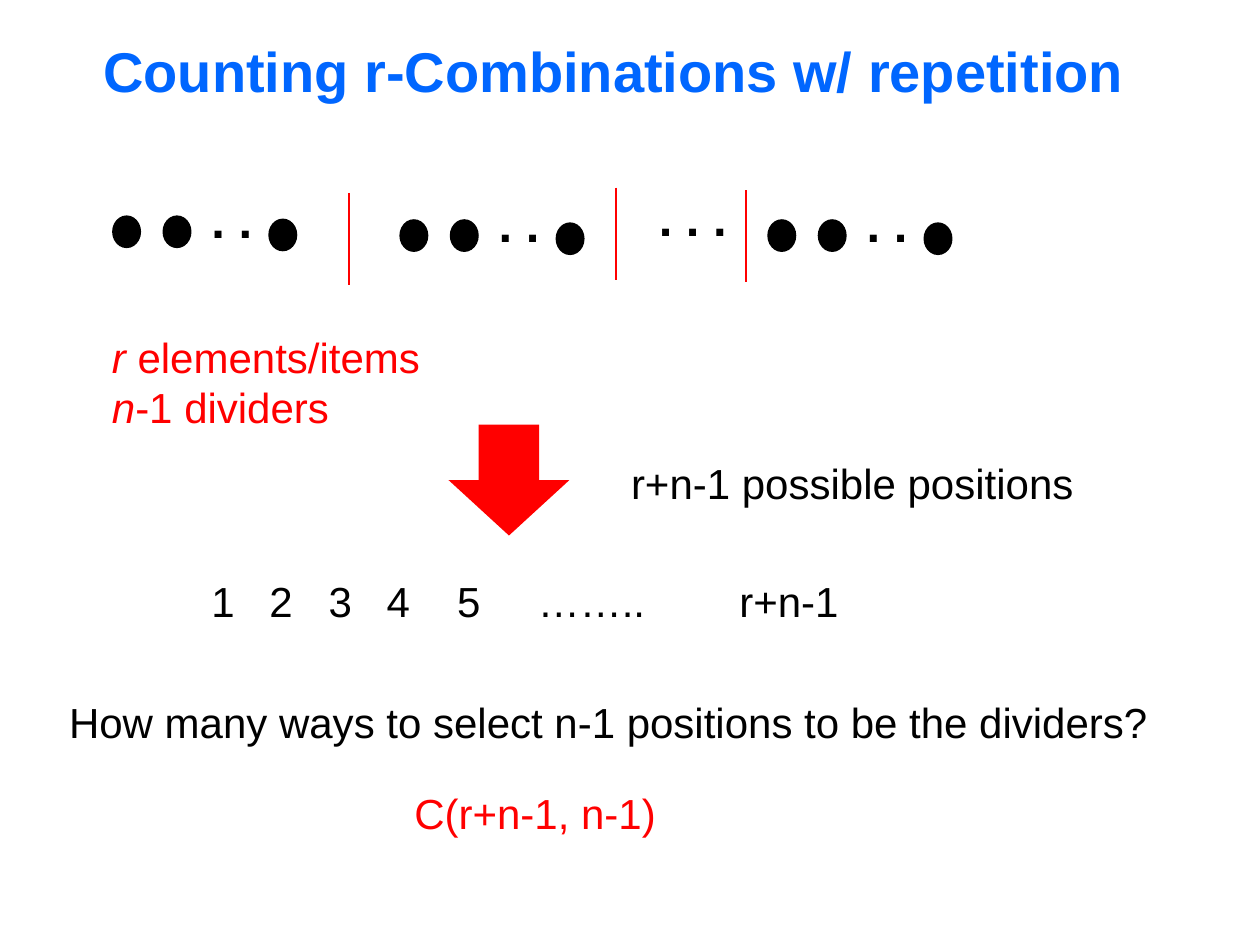
from typing import NamedTuple

from lxml.etree import SubElement
from pptx import Presentation
from pptx.dml.color import RGBColor
from pptx.enum.shapes import MSO_CONNECTOR, MSO_SHAPE
from pptx.enum.text import MSO_ANCHOR, MSO_AUTO_SIZE, PP_ALIGN
from pptx.oxml.ns import qn
from pptx.util import Inches, Pt

COLORS = {"title": "0066FF", "ink": "000000", "accent": "FF0000"}
FONT = "Arial"
COLS, ROWS = 100, 75  # slide grid
WIDTH, HEIGHT = Inches(10), Inches(7.5)


class Box(NamedTuple):
    """A place on the slide, in grid columns and rows."""
    col: float
    row: float
    cols: float
    rows: float


class Group(NamedTuple):
    """Dots that stand for the chosen items of one kind."""
    col: float
    row: float
    drop: float  # how far the last dot sits below the others


class Divider(NamedTuple):
    col: float
    row: float


class Label(NamedTuple):
    box: Box
    lines: list  # each line is a list of (text, italic)
    color: str


def x(cols: float) -> int:
    return round(WIDTH * cols / COLS)


def y(rows: float) -> int:
    return round(HEIGHT * rows / ROWS)


def place(box: Box) -> tuple:
    return x(box.col), y(box.row), x(box.cols), y(box.rows)


def rgb(name: str) -> RGBColor:
    return RGBColor.from_string(COLORS[name])


def write(p, text: str, *, size=24, color="ink", bold=False, italic=False) -> None:
    r = p.add_run()
    r.text = text
    r.font.name, r.font.size = FONT, Pt(size)
    r.font.bold, r.font.italic = bold, italic
    r.font.color.rgb = rgb(color)


def add_text(s, box: Box, lines: list, *, wrap=False, **style):
    tf = s.shapes.add_textbox(*place(box)).text_frame
    tf.word_wrap = wrap
    tf.auto_size = MSO_AUTO_SIZE.SHAPE_TO_FIT_TEXT
    for i, line in enumerate(lines):
        p = tf.add_paragraph() if i else tf.paragraphs[0]
        for text, italic in line:
            write(p, text, italic=italic, **style)
    return tf


def add_solid(s, kind, box: Box, color: str) -> None:
    sp = s.shapes.add_shape(kind, *place(box))
    sp.shadow.inherit = False
    sp.fill.solid()
    sp.fill.fore_color.rgb = rgb(color)
    sp.line.fill.background()


def add_ellipsis(s, box: Box, text: str) -> None:
    add_text(s, box, [[(text, False)]], size=28, bold=True)


def add_group(s, group: Group) -> None:
    for dx, dy in ((0, 0), (4, 0), (12.4, group.drop)):
        add_solid(s, MSO_SHAPE.OVAL,
                  Box(group.col + dx, group.row + dy, 2.3, 2.6), "ink")
    add_ellipsis(s, Box(group.col + 6.9, group.row - 2.55, 5.3, 5.7), ". .")


def add_divider(s, divider: Divider) -> None:
    line = s.shapes.add_connector(
        MSO_CONNECTOR.STRAIGHT, x(divider.col), y(divider.row),
        x(divider.col), y(divider.row + 7.3))
    line.line.color.rgb = rgb("accent")
    line.line.width = Pt(1.5)
    SubElement(line._element.spPr, qn("a:effectLst"))


def set_tabs(p, stops: list) -> None:
    tabs = SubElement(p._p.get_or_add_pPr(), qn("a:tabLst"))
    for stop in stops:
        SubElement(tabs, qn("a:tab"), pos=str(x(stop)), algn="l")


GROUPS = [Group(8.9, 17.1, 0.25), Group(31.7, 17.4, 0.25), Group(60.9, 17.4, 0.25)]
DIVIDERS = [Divider(27.7, 15.3), Divider(48.9, 14.9), Divider(59.2, 15.1)]
LABELS = [
    Label(Box(7.9, 25.8, 30.4, 9.1),
          [[("r", True), (" elements/items", False)],
           [("n", True), ("-1 dividers", False)]], "accent"),
    Label(Box(49.1, 35.8, 37.5, 5), [[("r+n-1 possible positions", False)]], "ink"),
    Label(Box(4.5, 54.8, 89.4, 5),
          [[("How many ways to select n-1 positions to be the dividers?", False)]],
          "ink"),
    Label(Box(31.9, 62, 21.4, 5), [[("C(r+n-1, n-1)", False)]], "accent"),
]
# Position labels with their tab stops, in columns
POSITIONS = {"1": 0, "2": 4.6, "3": 9.3, "4": 13.9, "5": 19.5,
             "……..": 25.9, "r+n-1": 41.9}


def main() -> None:
    prs = Presentation()
    prs.slide_width, prs.slide_height = WIDTH, HEIGHT
    s = prs.slides.add_slide(prs.slide_layouts[5])

    # Title
    title = s.shapes.title
    title.left, title.top, title.width, title.height = place(Box(7.2, 2.2, 85, 6.8))
    tf = title.text_frame
    tf.auto_size = MSO_AUTO_SIZE.NONE
    tf.vertical_anchor = MSO_ANCHOR.MIDDLE
    tf.paragraphs[0].alignment = PP_ALIGN.LEFT
    write(tf.paragraphs[0], "Counting r-Combinations w/ repetition",
          size=32, color="title", bold=True)

    # Items and dividers
    add_ellipsis(s, Box(51.3, 14.4, 7.5, 5.7), ". . .")
    for group in GROUPS:
        add_group(s, group)
    for divider in DIVIDERS:
        add_divider(s, divider)

    # Explanations and arrow
    for label in LABELS:
        add_text(s, label.box, label.lines, color=label.color)
    add_solid(s, MSO_SHAPE.DOWN_ARROW, Box(35.6, 33.7, 9.6, 8.8), "accent")

    # Numbered positions
    tf = add_text(s, Box(15.8, 45.2, 53, 5), [[("\t".join(POSITIONS), False)]],
                  wrap=True)
    set_tabs(tf.paragraphs[0], list(POSITIONS.values())[1:])

    prs.save("out.pptx")


if __name__ == "__main__":
    main()
